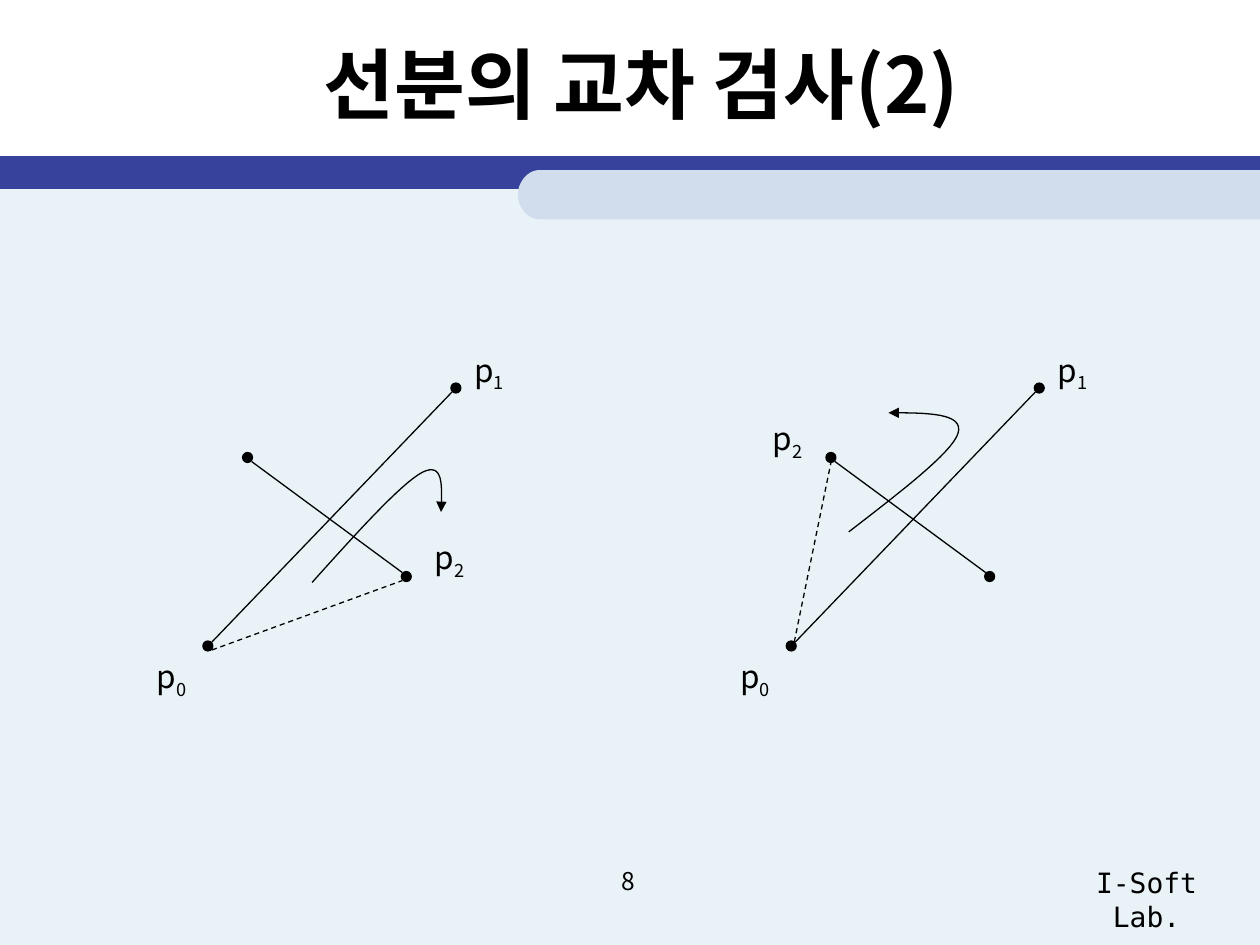
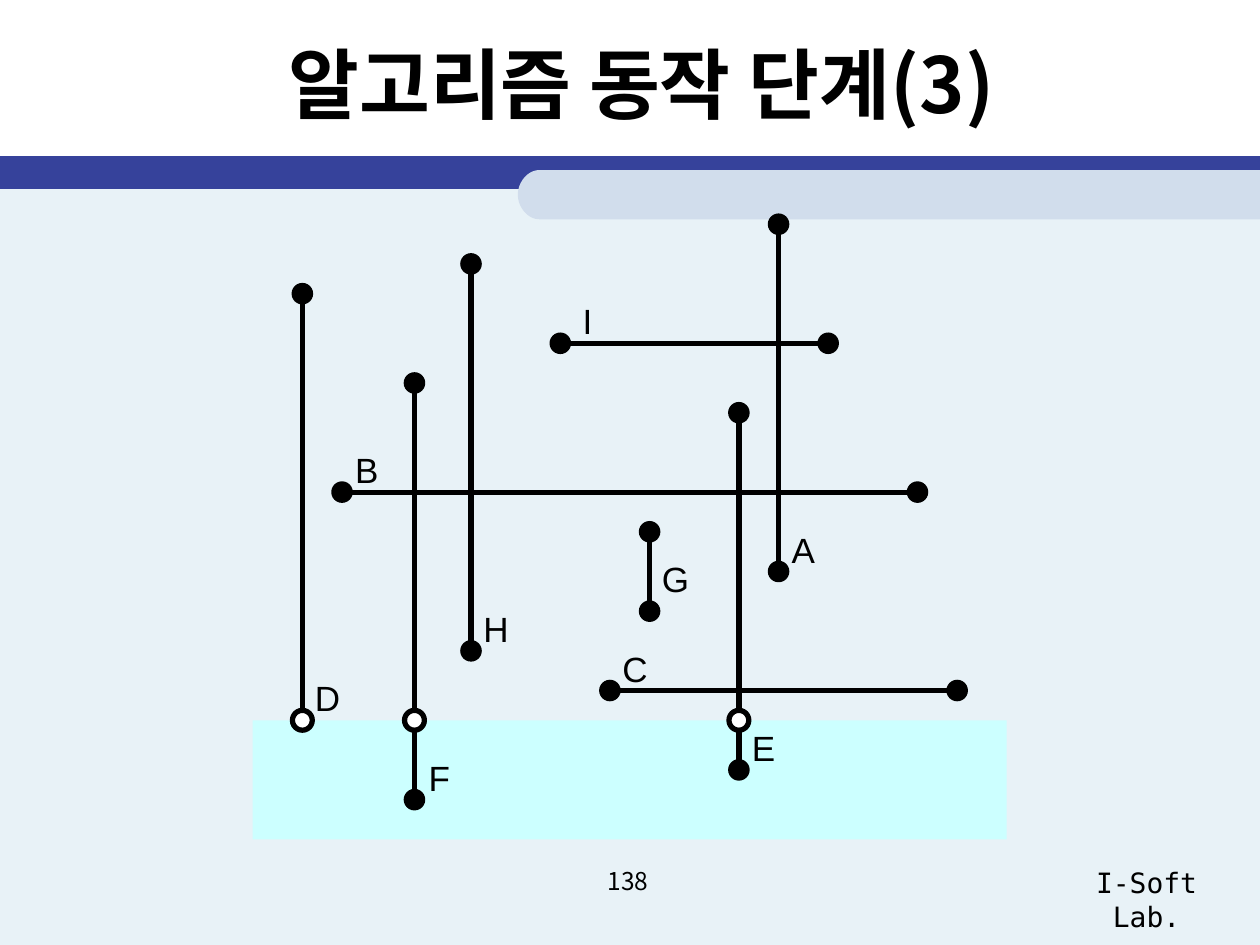
from dataclasses import dataclass

from lxml import etree
from pptx import Presentation
from pptx import util as u
from pptx.dml.color import RGBColor
from pptx.enum import dml, shapes, text
from pptx.oxml.ns import qn

INK = RGBColor(0x00, 0x00, 0x00)
PAPER = RGBColor(0xFF, 0xFF, 0xFF)
BACKDROP = RGBColor(0xE8, 0xF2, 0xF7)
BAND = RGBColor(0x36, 0x42, 0x9B)
TAB = RGBColor(0xD1, 0xDD, 0xEC)
SWEPT = RGBColor(0xCC, 0xFF, 0xFF)

KOREAN, MONO, LATIN = "Noto Sans CJK KR", "DejaVu Sans Mono", "Arial"
WIDTH, HEIGHT = u.Inches(10), u.Inches(7.5)
TITLE_ONLY = 5
STEP = u.Mm(2)
LABEL_HEIGHT = 5.6

SWEEP_ROW = 50
SWEEP_CROSSINGS = (0, 11.3, 44)
SEGMENTS = {
    "A": ((48, 0), (48, 35)),
    "B": ((4, 27), (62, 27)),
    "C": ((31, 47), (66, 47)),
    "D": ((0, 7), (0, SWEEP_ROW)),
    "E": ((44, 19), (44, 55)),
    "F": ((11.3, 16), (11.3, 58)),
    "G": ((35, 31), (35, 39)),
    "H": ((17, 4), (17, 43)),
    "I": ((26, 12), (53, 12)),
}
LABEL_SHIFTS = {"G": (0, -6), "I": (1, -5)}
LABEL_WIDTHS = {"I": 3.4}

P0, P1 = (0, 26), (25, 0)
CROSSING = (4, 7), (20, 19)


@dataclass
class Grid:
    left: int
    top: int

    def at(self, col, row):
        return int(self.left + col * STEP), int(self.top + row * STEP)


@dataclass
class Turn:
    grid: Grid
    p2_label: tuple
    dashed: tuple
    arrow: list


TURNS = (
    Turn(
        Grid(u.Inches(1.65), u.Inches(3.08)),
        (21.6, 14.5),
        ((0.4, 26.4), (19.6, 19.4)),
        [(10.5, 19.6), (15, 14.6), (19.4, 9.7), (21.6, 8.5),
         (23.8, 7.4), (23.6, 9.9), (23.5, 12.5)],
    ),
    Turn(
        Grid(u.Inches(6.28), u.Inches(3.08)),
        (-3.1, 2.5),
        ((0.3, 25.6), (4, 7.5)),
        [(5.8, 14.5), (11, 10.5), (16.2, 6.5), (16.8, 4.6),
         (17.5, 2.5), (13.7, 2.5), (9.8, 2.5)],
    ),
)


def paint(shape, fill, line=None, weight=0.75):
    shape.shadow.inherit = False
    if fill is None:
        shape.fill.background()
    else:
        shape.fill.solid()
        shape.fill.fore_color.rgb = fill
    if line is None:
        shape.line.fill.background()
    else:
        shape.line.color.rgb = line
        shape.line.width = u.Pt(weight)


def set_font(paragraph, face, size, bold=False):
    font = paragraph.font
    font.size, font.bold, font.name = u.Pt(size), bold, face
    font.color.rgb = INK
    etree.SubElement(font._element, qn("a:ea")).set("typeface", face)


def add_block(slide, left, top, width, height, fill):
    block = slide.shapes.add_shape(
        shapes.MSO_SHAPE.RECTANGLE, int(left), int(top), int(width), int(height))
    paint(block, fill)


def add_text(slide, left, top, width, height, words, face, size,
             align=text.PP_ALIGN.CENTER, wrap=True):
    frame = slide.shapes.add_textbox(
        int(left), int(top), int(width), int(height)).text_frame
    frame.word_wrap = wrap
    paragraph = frame.paragraphs[0]
    paragraph.alignment = align
    paragraph.add_run().text = words
    set_font(paragraph, face, size)
    return paragraph


def add_line(slide, grid, start, end, weight=0.75, dashed=False):
    line = slide.shapes.add_connector(
        shapes.MSO_CONNECTOR.STRAIGHT, *grid.at(*start), *grid.at(*end))
    line.line.color.rgb = INK
    line.line.width = u.Pt(weight)
    if dashed:
        line.line.dash_style = dml.MSO_LINE.DASH
    etree.SubElement(line._element.spPr, qn("a:effectLst"))


def add_dot(slide, grid, centre, size, fill=INK, weight=0.75):
    col, row = centre
    dot = slide.shapes.add_shape(
        shapes.MSO_SHAPE.OVAL, *grid.at(col - size / 2, row - size / 2),
        int(size * STEP), int(size * STEP))
    paint(dot, fill, INK, weight)


def trace_curve(points, pieces=16):
    traced = [points[0]]
    for i in range(0, len(points) - 1, 3):
        for n in range(1, pieces + 1):
            t = n / pieces
            weights = ((1 - t) ** 3, 3 * t * (1 - t) ** 2, 3 * t * t * (1 - t), t ** 3)
            traced.append(tuple(
                round(sum(w * p[axis] for w, p in zip(weights, points[i:i + 4])))
                for axis in (0, 1)))
    return traced


def add_outline(slide, points, close):
    builder = slide.shapes.build_freeform(*points[0])
    builder.add_line_segments(points[1:], close=close)
    return builder.convert_to_shape()


def add_curved_arrow(slide, grid, points):
    arrow = add_outline(slide, trace_curve([grid.at(*p) for p in points]), False)
    paint(arrow, None, INK)
    etree.SubElement(arrow.line._get_or_add_ln(), qn("a:tailEnd")).set("type", "triangle")


def add_tab(slide):
    top, middle, bottom = (u.Inches(y) for y in (1.35, 1.545, 1.74))
    shoulder, bend, edge = (u.Inches(x) for x in (4.28, 4.19, 4.11))
    rise = u.Inches(0.1)
    rounded = trace_curve([
        (shoulder, top), (bend, top), (edge, middle - rise), (edge, middle),
        (edge, middle + rise), (bend, bottom), (shoulder, bottom)])
    paint(add_outline(slide, [(WIDTH, top), *rounded, (WIDTH, bottom)], True), TAB)


def start_slide(deck, heading, number):
    slide = deck.slides.add_slide(deck.slide_layouts[TITLE_ONLY])
    add_block(slide, 0, u.Inches(1.4), WIDTH, HEIGHT - u.Inches(1.4), BACKDROP)
    add_block(slide, 0, u.Inches(1.24), WIDTH, u.Inches(0.26), BAND)
    add_tab(slide)

    title = slide.shapes.title
    title.left, title.top = u.Inches(0.59), u.Inches(0.08)
    title.width, title.height = u.Inches(9), u.Inches(1.15)
    title.text_frame.text = heading
    title.text_frame.vertical_anchor = text.MSO_ANCHOR.MIDDLE
    line = title.text_frame.paragraphs[0]
    line.alignment = text.PP_ALIGN.CENTER
    set_font(line, KOREAN, 44, True)

    footer_top = u.Inches(6.82)
    add_text(slide, u.Inches(8.31), footer_top, u.Inches(1.58), u.Inches(0.37),
             "I-Soft Lab.", MONO, 16)
    add_text(slide, u.Inches(3.82), footer_top, u.Inches(2.33), u.Inches(0.52),
             str(number), KOREAN, 14)
    return slide


def add_point_label(slide, grid, corner, index):
    label = add_text(slide, *grid.at(*corner), 5.5 * STEP, LABEL_HEIGHT * STEP,
                     "p", KOREAN, 18, text.PP_ALIGN.LEFT, False)
    subscript = label.add_run()
    subscript.text = str(index)
    subscript.font._element.set("baseline", "-25000")


def add_trimmed_line(slide, grid, start, end, gap=0.4):
    lean = gap if end[1] > start[1] else -gap
    add_line(slide, grid, (start[0] + gap, start[1] + lean),
             (end[0] - gap, end[1] - lean))


def draw_turn(slide, turn):
    for segment in ((P0, P1), CROSSING):
        add_trimmed_line(slide, turn.grid, *segment)
        for end in segment:
            add_dot(slide, turn.grid, end, 1)
    add_line(slide, turn.grid, *turn.dashed, dashed=True)
    add_curved_arrow(slide, turn.grid, turn.arrow)
    for index, corner in enumerate(((-6.4, 26.5), (25.6, -4.4), turn.p2_label)):
        add_point_label(slide, turn.grid, corner, index)


def draw_segment(slide, grid, name, start, end):
    add_line(slide, grid, start, end, 3)
    for tip in (start, end):
        if tip[1] != SWEEP_ROW:
            add_dot(slide, grid, tip, 2, weight=1)
    anchor = start if start[1] == end[1] else end
    shift = LABEL_SHIFTS.get(name, (0, -5))
    add_text(slide, *grid.at(anchor[0] + shift[0], anchor[1] + shift[1]),
             LABEL_WIDTHS.get(name, 5) * STEP, LABEL_HEIGHT * STEP,
             name, LATIN, 20, wrap=False)


def draw_sweep(slide):
    grid = Grid(u.Inches(2.4), u.Inches(1.78))
    add_block(slide, *grid.at(-5, SWEEP_ROW), 76 * STEP, 12 * STEP, SWEPT)
    for name, (start, end) in SEGMENTS.items():
        draw_segment(slide, grid, name, start, end)
    for col in SWEEP_CROSSINGS:
        add_dot(slide, grid, (col, SWEEP_ROW), 2, PAPER, 3)


def main():
    deck = Presentation()
    deck.slide_width, deck.slide_height = WIDTH, HEIGHT
    intersection = start_slide(deck, "선분의 교차 검사(2)", 8)
    for turn in TURNS:
        draw_turn(intersection, turn)
    draw_sweep(start_slide(deck, "알고리즘 동작 단계(3)", 138))
    deck.save("out.pptx")


if __name__ == "__main__":
    main()
